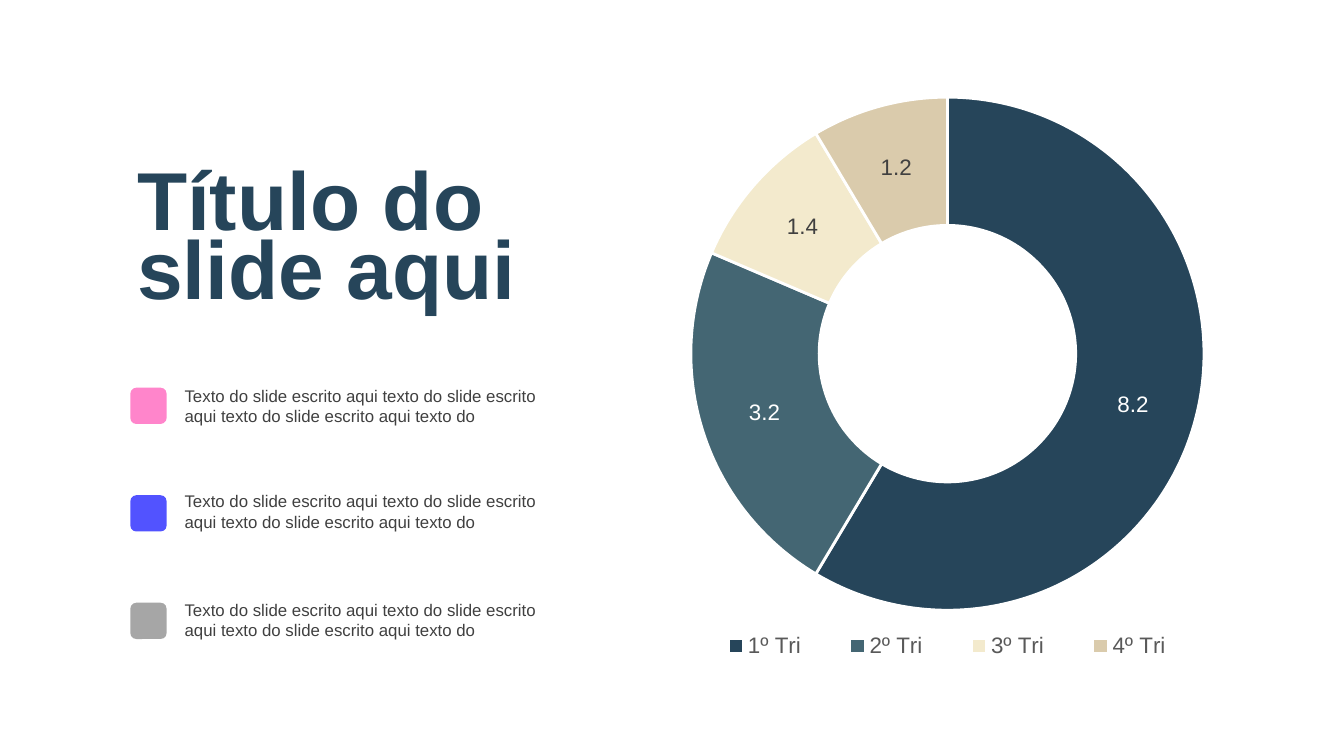
"""Build a title slide with three colour-keyed notes and a doughnut chart."""
from dataclasses import dataclass

from lxml.etree import SubElement
from pptx import Presentation
from pptx.chart.data import CategoryChartData
from pptx.dml.color import RGBColor
from pptx.enum.chart import XL_CHART_TYPE as ChartType, XL_LEGEND_POSITION as LegendPos
from pptx.enum.shapes import MSO_SHAPE as Shape
from pptx.enum.text import MSO_ANCHOR as Anchor, MSO_AUTO_SIZE as AutoSize, PP_ALIGN as Align
from pptx.oxml.ns import qn
from pptx.util import Emu, Pt

PX = 4572
COLORS = {
    "navy": "26455A", "teal": "446673", "cream": "F3EACD", "sand": "DACBAC",
    "pink": "FF85CB", "blue": "5253FF", "gray": "A6A6A6",
    "text": "404040", "legend": "595959", "white": "FFFFFF", "black": "000000",
}
NOTE_TEXT = ("Texto do slide escrito aqui texto do slide escrito aqui "
             "texto do slide escrito aqui texto do")


@dataclass(frozen=True)
class Note:
    color: str
    marker_top: int
    text_top: int


@dataclass(frozen=True)
class Slice:
    label: str
    value: float
    color: str
    label_color: str


NOTES = [Note("pink", 577, 564), Note("blue", 737, 721), Note("gray", 897, 882)]
SLICES = [
    Slice("1º Tri", 8.2, "navy", "white"),
    Slice("2º Tri", 3.2, "teal", "white"),
    Slice("3º Tri", 1.4, "cream", "text"),
    Slice("4º Tri", 1.2, "sand", "text"),
]


def px(*values: int) -> list[Emu]:
    return [Emu(v * PX) for v in values]


def rgb(name: str) -> RGBColor:
    return RGBColor.from_string(COLORS[name])


def set_attrs(obj, values: dict) -> None:
    for name, value in values.items():
        setattr(obj, name, value)


def style_font(font, size: int, color: str, bold: bool = False) -> None:
    set_attrs(font, {"name": "Arial", "size": Pt(size), "bold": bold})
    font.color.rgb = rgb(color)


def add_title(s, text: str) -> None:
    sp = s.shapes.title
    set_attrs(sp, dict(zip(("left", "top", "width", "height"), px(184, 239, 658, 250))))
    tf = sp.text_frame
    margins = ("margin_left", "margin_top", "margin_right", "margin_bottom")
    set_attrs(tf, dict(zip(margins, px(20, 20, 20, 20))))
    set_attrs(tf, {"text": text, "word_wrap": True, "vertical_anchor": Anchor.MIDDLE,
                   "auto_size": AutoSize.SHAPE_TO_FIT_TEXT})
    p = tf.paragraphs[0]
    set_attrs(p, {"alignment": Align.LEFT, "line_spacing": 0.7})
    style_font(p.runs[0].font, 44, "navy", True)


def add_marker(s, note: Note) -> None:
    sp = s.shapes.add_shape(Shape.ROUNDED_RECTANGLE, *px(194, note.marker_top, 54, 54))
    sp.shadow.inherit = False
    sp.fill.solid()
    sp.fill.fore_color.rgb = rgb(note.color)
    sp.line.fill.background()


def add_note_text(s, note: Note) -> None:
    tf = s.shapes.add_textbox(*px(255, note.text_top, 598, 80)).text_frame
    set_attrs(tf, {"text": NOTE_TEXT, "word_wrap": True,
                   "auto_size": AutoSize.SHAPE_TO_FIT_TEXT})
    style_font(tf.paragraphs[0].runs[0].font, 9, "text")


def set_layout(parent, before: str, target: str, box: dict[str, float]) -> None:
    for old in parent.findall(qn("c:layout")):
        parent.remove(old)
    layout = SubElement(parent, qn("c:layout"))
    parent.find(qn(before)).addprevious(layout)
    manual = SubElement(layout, qn("c:manualLayout"))
    values = {"xMode": "edge", "yMode": "edge", **box}
    if target:
        values = {"layoutTarget": target, **values}
    for name, value in values.items():
        SubElement(manual, qn(f"c:{name}")).set("val", str(value))


def add_doughnut(s, slices: list[Slice]) -> None:
    data = CategoryChartData()
    data.categories = [item.label for item in slices]
    data.add_series("Series 1", [item.value for item in slices])
    chart = s.shapes.add_chart(ChartType.DOUGHNUT, *px(886, 118, 1048, 888), data).chart
    set_attrs(chart, {"has_title": False, "has_legend": True})
    style_font(chart.font, 10, "black")
    set_attrs(chart.legend, {"position": LegendPos.BOTTOM, "include_in_layout": False})
    style_font(chart.legend.font, 12, "legend")
    plot = chart.plots[0]
    plot.vary_by_categories = True
    set_layout(chart.legend._element, "c:overlay", "",
               {"x": 0.13, "y": 0.92, "w": 0.74, "h": 0.06})
    set_layout(plot._element.getparent(), "c:doughnutChart", "inner",
               {"x": 0.13, "y": 0.03, "w": 0.74, "h": 0.86})
    for hole in plot._element.xpath("c:holeSize"):
        hole.set("val", "75")
    for i, item in enumerate(slices):
        point = plot.series[0].points[i]
        point.format.fill.solid()
        point.format.fill.fore_color.rgb = rgb(item.color)
        point.format.line.color.rgb = rgb("white")
        point.format.line.width = Pt(1.5)
        style_font(point.data_label.font, 12, item.label_color)


def main() -> None:
    prs = Presentation()
    set_attrs(prs, dict(zip(("slide_width", "slide_height"), px(2000, 1125))))
    s = prs.slides.add_slide(prs.slide_layouts[5])
    add_title(s, "Título do slide aqui")
    for draw in (add_marker, add_note_text):
        for note in NOTES:
            draw(s, note)
    add_doughnut(s, SLICES)
    prs.save("out.pptx")


if __name__ == "__main__":
    main()
